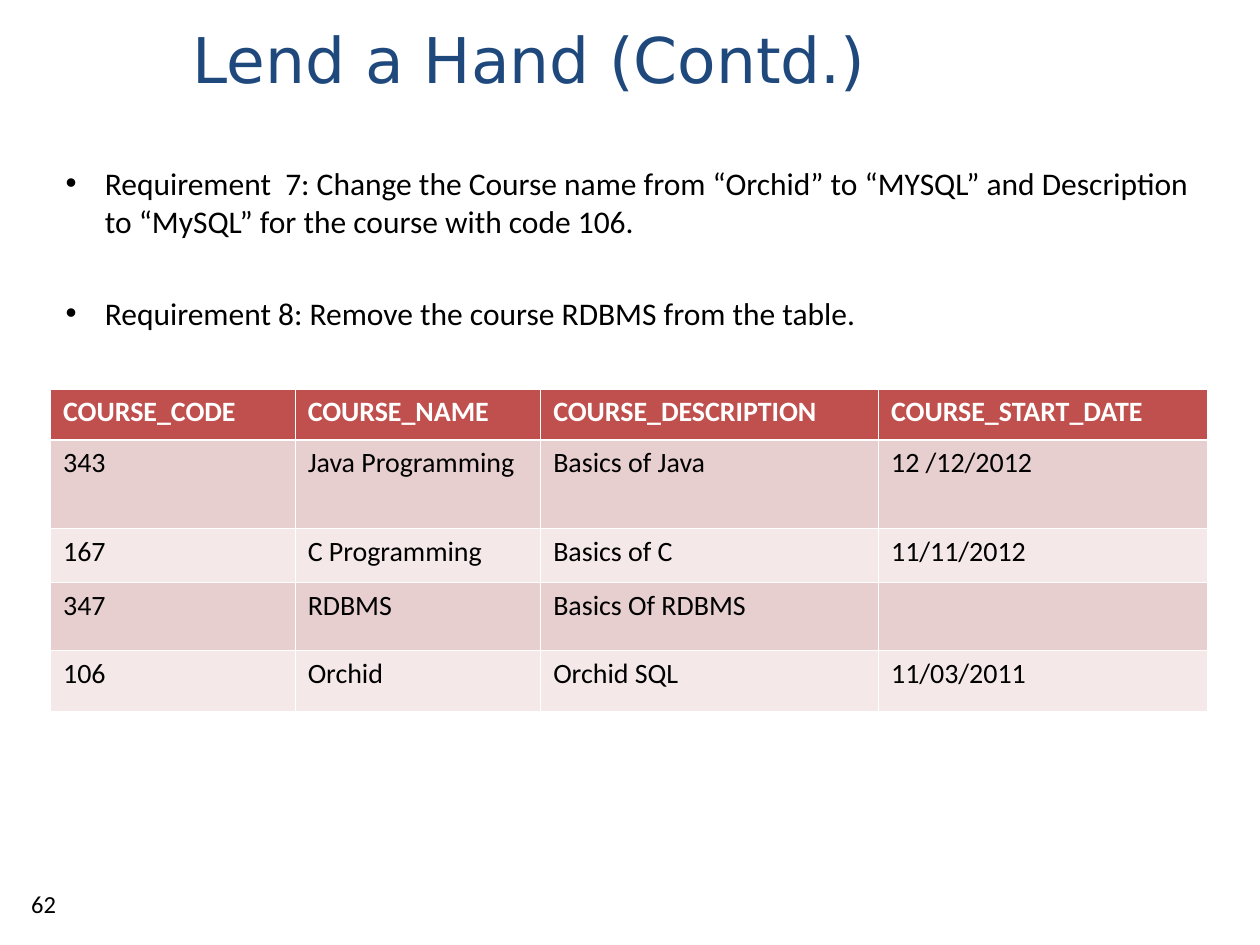
from dataclasses import dataclass

from lxml.etree import SubElement
from pptx import Presentation
from pptx.dml.color import RGBColor
from pptx.enum.text import MSO_ANCHOR, MSO_AUTO_SIZE, PP_ALIGN
from pptx.oxml.ns import qn
from pptx.util import Cm, Pt


@dataclass(frozen=True)
class Theme:
    title_color: str = "1F497D"
    text: str = "000000"
    white: str = "FFFFFF"
    header: str = "C0504D"
    bands: tuple = ("E8CFCF", "F4E9E8")
    title_font: str = "DejaVu Sans"
    body_font: str = "Calibri"
    title_size: int = 36
    body_size: int = 18
    table_size: int = 16
    number_size: int = 14
    thin: float = 0.45
    thick: float = 1.5


THEME = Theme()

REQUIREMENTS = [
    "Requirement  7: Change the Course name from “Orchid” to “MYSQL” and "
    "Description to “MySQL” for the course with code 106.",
    "Requirement 8: Remove the course RDBMS from the table.",
]
COURSES = [
    ["COURSE_CODE", "COURSE_NAME", "COURSE_DESCRIPTION", "COURSE_START_DATE"],
    ["343", "Java Programming", "Basics of Java", "12 /12/2012"],
    ["167", "C Programming", "Basics of C", "11/11/2012"],
    ["347", "RDBMS", "Basics Of RDBMS", ""],
    ["106", "Orchid", "Orchid SQL", "11/03/2011"],
]
COLUMN_WIDTHS = [4.93, 4.95, 6.81, 6.63]
ROW_HEIGHTS = [1.03, 1.78, 1.09, 1.37, 1.22]


def place(sp, left, top, width, height):
    sp.left, sp.top = Cm(left), Cm(top)
    sp.width, sp.height = Cm(width), Cm(height)


def add_run(p, text, size, color=THEME.text, font=THEME.body_font, bold=False):
    r = p.add_run()
    r.text = text
    r.font.name = font
    r.font.size = Pt(size)
    r.font.bold = bold
    r.font.color.rgb = RGBColor.from_string(color)


def set_title(sp, text):
    place(sp, 3.63, 0, 21.77, 2.34)
    tf = sp.text_frame
    tf.auto_size = MSO_AUTO_SIZE.NONE
    tf.vertical_anchor = MSO_ANCHOR.MIDDLE
    p = tf.paragraphs[0]
    p.alignment = PP_ALIGN.LEFT
    add_run(p, text, THEME.title_size, THEME.title_color, THEME.title_font)


def set_bullets(sp, items):
    place(sp, 1.07, 3.18, 23.29, 13.74)
    tf = sp.text_frame
    tf.auto_size = MSO_AUTO_SIZE.NONE
    for i, item in enumerate(items):
        p = tf.add_paragraph() if i else tf.paragraphs[0]
        pPr = p._p.get_or_add_pPr()
        pPr.set("marL", str(Cm(0.79)))
        pPr.set("indent", str(-Cm(0.79)))
        p.space_before = Pt(31 if i else 0)
        add_run(p, item, THEME.body_size)


def set_border(cell, side, width):
    ln = SubElement(cell._tc.get_or_add_tcPr(), qn(f"a:ln{side}"), w=str(Pt(width)))
    fill = SubElement(ln, qn("a:solidFill"))
    SubElement(fill, qn("a:srgbClr"), val=THEME.white)


def format_cell(cell, text, row):
    is_header = row == 0
    # The rule under the header is heavier than the others
    thick_side = {0: "B", 1: "T"}.get(row)
    for side in "LRTB":
        set_border(cell, side, THEME.thick if side == thick_side else THEME.thin)
    cell.fill.solid()
    color = THEME.header if is_header else THEME.bands[(row - 1) % 2]
    cell.fill.fore_color.rgb = RGBColor.from_string(color)
    if text:
        add_run(cell.text_frame.paragraphs[0], text, THEME.table_size,
                THEME.white if is_header else THEME.text, bold=is_header)


def add_course_table(slide):
    frame = slide.shapes.add_table(
        len(COURSES), len(COLUMN_WIDTHS), Cm(1.02), Cm(7.84),
        Cm(sum(COLUMN_WIDTHS)), Cm(sum(ROW_HEIGHTS)))
    table = frame.table
    for column, width in zip(table.columns, COLUMN_WIDTHS):
        column.width = Cm(width)
    for i, (course, height) in enumerate(zip(COURSES, ROW_HEIGHTS)):
        table.rows[i].height = Cm(height)
        for j, text in enumerate(course):
            format_cell(table.cell(i, j), text, i)


def add_page_number(slide, number):
    sp = slide.shapes.add_textbox(Cm(0.38), Cm(17.8), Cm(1.27), Cm(0.79))
    tf = sp.text_frame
    tf.word_wrap = True
    add_run(tf.paragraphs[0], number, THEME.number_size)


def main():
    prs = Presentation()
    prs.slide_width, prs.slide_height = Cm(25.4), Cm(19.05)
    slide = prs.slides.add_slide(prs.slide_layouts[1])

    # Heading and requirements
    set_title(slide.shapes.title, "Lend a Hand (Contd.)")
    set_bullets(slide.placeholders[1], REQUIREMENTS)

    # Course data
    add_course_table(slide)

    # Footer
    add_page_number(slide, "62")
    prs.save("out.pptx")


if __name__ == "__main__":
    main()
